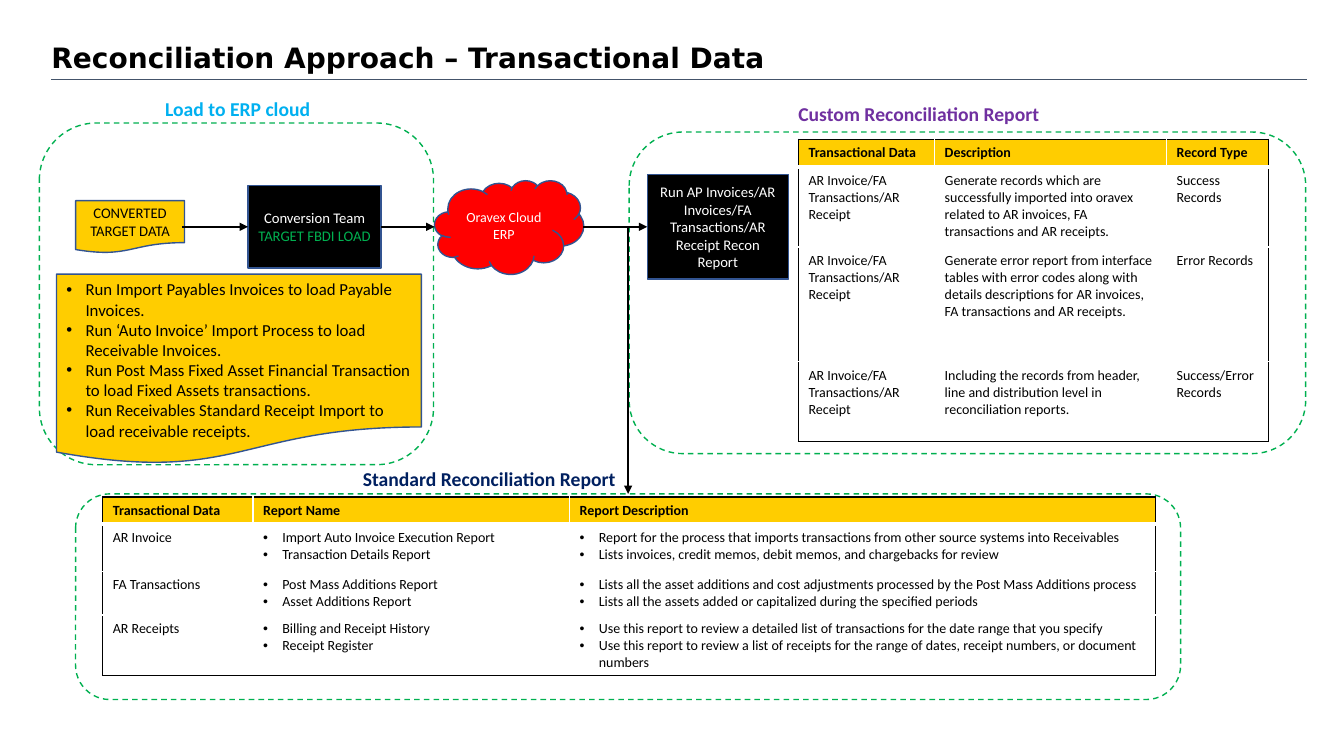
from lxml import etree
from pptx import Presentation
from pptx.dml.color import RGBColor
from pptx.enum.dml import MSO_LINE
from pptx.enum.shapes import MSO_CONNECTOR, MSO_SHAPE
from pptx.enum.text import MSO_ANCHOR, PP_ALIGN
from pptx.oxml.ns import qn
from pptx.util import Inches, Pt

BLACK = RGBColor(0x00, 0x00, 0x00)
WHITE = RGBColor(0xFF, 0xFF, 0xFF)
YELLOW = RGBColor(0xFF, 0xCD, 0x00)
RED = RGBColor(0xFF, 0x00, 0x00)
GREEN = RGBColor(0x00, 0xB0, 0x50)
BLUE_LINE = RGBColor(0x32, 0x54, 0x91)
SLATE = RGBColor(0x44, 0x54, 0x6A)
SKY = RGBColor(0x00, 0xB0, 0xF0)
PURPLE = RGBColor(0x70, 0x30, 0xA0)
NAVY = RGBColor(0x00, 0x20, 0x60)

RECT, ROUND = MSO_SHAPE.RECTANGLE, MSO_SHAPE.ROUNDED_RECTANGLE
CLOUD, DOCUMENT = MSO_SHAPE.CLOUD, MSO_SHAPE.FLOWCHART_DOCUMENT
STRAIGHT, DASH = MSO_CONNECTOR.STRAIGHT, MSO_LINE.DASH
TOP, MIDDLE = MSO_ANCHOR.TOP, MSO_ANCHOR.MIDDLE
LEFT, CENTER = PP_ALIGN.LEFT, PP_ALIGN.CENTER

UNIT = 0.1  # grid step in inches, for columns and rows alike
FLOW_ROW = 22.5
BODY = {"name": "Calibri", "size": Pt(10), "bold": False}
STEP = {**BODY, "size": Pt(10.5)}
NOTE = {**BODY, "size": Pt(12)}
HEADING = {**BODY, "size": Pt(14), "bold": True}
TITLE = {"name": "DejaVu Sans", "size": Pt(20), "bold": True}

LOAD_STEPS = [
    "Run Import Payables Invoices to load Payable Invoices.",
    "Run ‘Auto Invoice’ Import Process to load Receivable Invoices.",
    "Run Post Mass Fixed Asset Financial Transaction to load Fixed Assets transactions.",
    "Run Receivables Standard Receipt Import to load receivable receipts.",
]
ALL_DATA = "AR Invoice/FA Transactions/AR Receipt"
CUSTOM_ROWS = [
    ["Transactional Data", "Description", "Record Type"],
    [ALL_DATA, "Generate records which are successfully imported into oravex "
     "related to AR invoices, FA transactions and AR receipts.", "Success Records"],
    [ALL_DATA, "Generate error report from interface tables with error codes along with "
     "details descriptions for AR invoices, FA transactions and AR receipts.",
     "Error Records"],
    [ALL_DATA, "Including the records from header, line and distribution level in "
     "reconciliation reports.", "Success/Error Records"],
]
# A list in a cell is shown as bullets.
STANDARD_ROWS = [
    ["Transactional Data", "Report Name", "Report Description"],
    ["AR Invoice",
     ["Import Auto Invoice Execution Report", "Transaction Details Report"],
     ["Report for the process that imports transactions from other source systems "
      "into Receivables",
      "Lists invoices, credit memos, debit memos, and chargebacks for review"]],
    ["FA Transactions",
     ["Post Mass Additions Report", "Asset Additions Report"],
     ["Lists all the asset additions and cost adjustments processed by the Post Mass "
      "Additions process",
      "Lists all the assets added or capitalized during the specified periods"]],
    ["AR Receipts",
     ["Billing and Receipt History", "Receipt Register"],
     ["Use this report to review a detailed list of transactions for the date range "
      "that you specify",
      "Use this report to review a list of receipts for the range of dates, receipt "
      "numbers, or document numbers"]],
]


def grid(*steps):
    return [Inches(n * UNIT) for n in steps]


def add_bullet(p):
    pPr = p._p.get_or_add_pPr()
    pPr.set("marL", str(Inches(0.19)))
    pPr.set("indent", str(-Inches(0.19)))
    etree.SubElement(pPr, qn("a:buFont")).set("typeface", "Arial")
    etree.SubElement(pPr, qn("a:buChar")).set("char", "•")


def write(tf, lines, style, colors=(BLACK,), align=LEFT, bullets=False):
    """Write one paragraph per line; the last colour serves all further lines."""
    for i, line in enumerate(lines):
        p = tf.add_paragraph() if i else tf.paragraphs[0]
        p.alignment = align
        if bullets:
            add_bullet(p)
        r = p.add_run()
        r.text = line
        for name, value in style.items():
            setattr(r.font, name, value)
        r.font.color.rgb = colors[min(i, len(colors) - 1)]


def add_text(s, place, text, style, color=BLACK):
    tf = s.shapes.add_textbox(*grid(*place)).text_frame
    tf.word_wrap = True
    write(tf, [text], style, (color,))
    return tf


def add_box(s, kind, place, fill=None, line=BLUE_LINE):
    sp = s.shapes.add_shape(kind, *grid(*place))
    sp.shadow.inherit = False
    if fill is None:
        sp.fill.background()
    else:
        sp.fill.solid()
        sp.fill.fore_color.rgb = fill
    sp.line.color.rgb = line
    sp.line.width = Pt(1)
    sp.text_frame.vertical_anchor = MIDDLE
    return sp


def add_step(s, kind, place, fill, lines, colors=(WHITE,), style=STEP):
    write(add_box(s, kind, place, fill).text_frame, lines, style, colors, CENTER)


def add_frame(s, place):
    add_box(s, ROUND, place, line=GREEN).line.dash_style = DASH


def add_line(s, ends, color=BLACK, width=1.5, arrow=True):
    cx = s.shapes.add_connector(STRAIGHT, *grid(*ends))
    cx.line.color.rgb = color
    cx.line.width = Pt(width)
    if arrow:
        etree.SubElement(cx.line._get_or_add_ln(), qn("a:tailEnd")).set("type", "triangle")
    etree.SubElement(cx._element.spPr, qn("a:effectLst"))


def set_border(cell, side, color, width):
    ln = etree.SubElement(cell._tc.get_or_add_tcPr(), qn("a:ln" + side))
    ln.set("w", str(Pt(width)))
    fill = etree.SubElement(ln, qn("a:solidFill"))
    etree.SubElement(fill, qn("a:srgbClr")).set("val", str(color))


def add_report_table(s, left, top, widths, heights, rows):
    """Add a table with a black outline, white inner rules and a yellow header."""
    place = grid(left, top, sum(widths), sum(heights))
    table = s.shapes.add_table(len(rows), len(widths), *place).table
    table.horz_banding = False
    for part, sizes, name in ((table.columns, widths, "width"), (table.rows, heights, "height")):
        for item, size in zip(part, grid(*sizes)):
            setattr(item, name, size)
    for i, row in enumerate(rows):
        for j, content in enumerate(row):
            cell = table.cell(i, j)
            outer = {"L": j == 0, "R": j == len(row) - 1, "T": i == 0, "B": i == len(rows) - 1}
            for side, is_outer in outer.items():
                under_header = (i == 0 and side == "B") or (i == 1 and side == "T")
                set_border(cell, side, BLACK if is_outer else WHITE, 3 if under_header else 1)
            cell.fill.solid()
            cell.fill.fore_color.rgb = WHITE if i else YELLOW
            bullets = isinstance(content, list)
            write(cell.text_frame, content if bullets else [content],
                  {**BODY, "bold": i == 0}, bullets=bullets)


def add_load_notes(s):
    tf = add_box(s, DOCUMENT, (5.6, 27.2, 36.2, 18.9), YELLOW).text_frame
    tf.vertical_anchor = TOP
    write(tf, LOAD_STEPS, NOTE, bullets=True)


def add_title(s):
    tf = add_text(s, (5.1, 4.4, 123.1, 3.7), "Reconciliation Approach – Transactional Data", TITLE)
    for side in ("left", "top", "right", "bottom"):
        setattr(tf, "margin_" + side, 0)
    tf.paragraphs[0].line_spacing = 0.9
    add_line(s, (5.1, 7.9, 129.6, 7.9), SLATE, 0.5, arrow=False)


def main():
    prs = Presentation()
    prs.slide_width, prs.slide_height = Inches(13.33), Inches(7.5)
    s = prs.slides.add_slide(prs.slide_layouts[6])
    add_title(s)

    add_step(s, CLOUD, (43.1, 17.9, 14.8, 9.3), RED, ["Oravex Cloud", "ERP"], style=BODY)
    add_step(s, RECT, (64.2, 17.3, 14, 10.4), BLACK,
             ["Run AP Invoices/AR Invoices/FA Transactions/AR Receipt Recon Report"])
    add_step(s, RECT, (24.6, 18.4, 13.2, 8.2), BLACK,
             ["Conversion Team", "TARGET FBDI LOAD"], (WHITE, GREEN))
    add_step(s, DOCUMENT, (7.5, 19.9, 10.8, 5.2), YELLOW, ["CONVERTED TARGET DATA"], (BLACK,))

    for place in ((3.9, 12.2, 39.1, 33.9), (62.4, 13.1, 67.1, 31.9), (7.5, 49, 109.6, 20.4)):
        add_frame(s, place)
    for start, end in ((18.1, 24.6), (37.8, 43.1), (57.8, 64.2)):
        add_line(s, (start, FLOW_ROW, end, FLOW_ROW))
    add_line(s, (62.3, FLOW_ROW, 62.3, 49))

    add_text(s, (15.4, 9.1, 19.6, 3.4), "Load to ERP cloud", HEADING, SKY)
    add_text(s, (78.2, 9.6, 26.7, 3.4), "Custom Reconciliation Report", HEADING, PURPLE)
    add_text(s, (35, 45.8, 32.6, 3.4), "Standard Reconciliation Report", HEADING, NAVY)

    add_load_notes(s)
    add_report_table(s, 79.2, 13.8, (13.5, 23, 10.1), (2.8, 7.9, 11.4, 7.9), CUSTOM_ROWS)
    add_report_table(s, 10.2, 49.3, (14.9, 31.4, 58.1), (2.6, 4.7, 4.2, 5.8), STANDARD_ROWS)
    prs.save("out.pptx")


if __name__ == "__main__":
    main()
